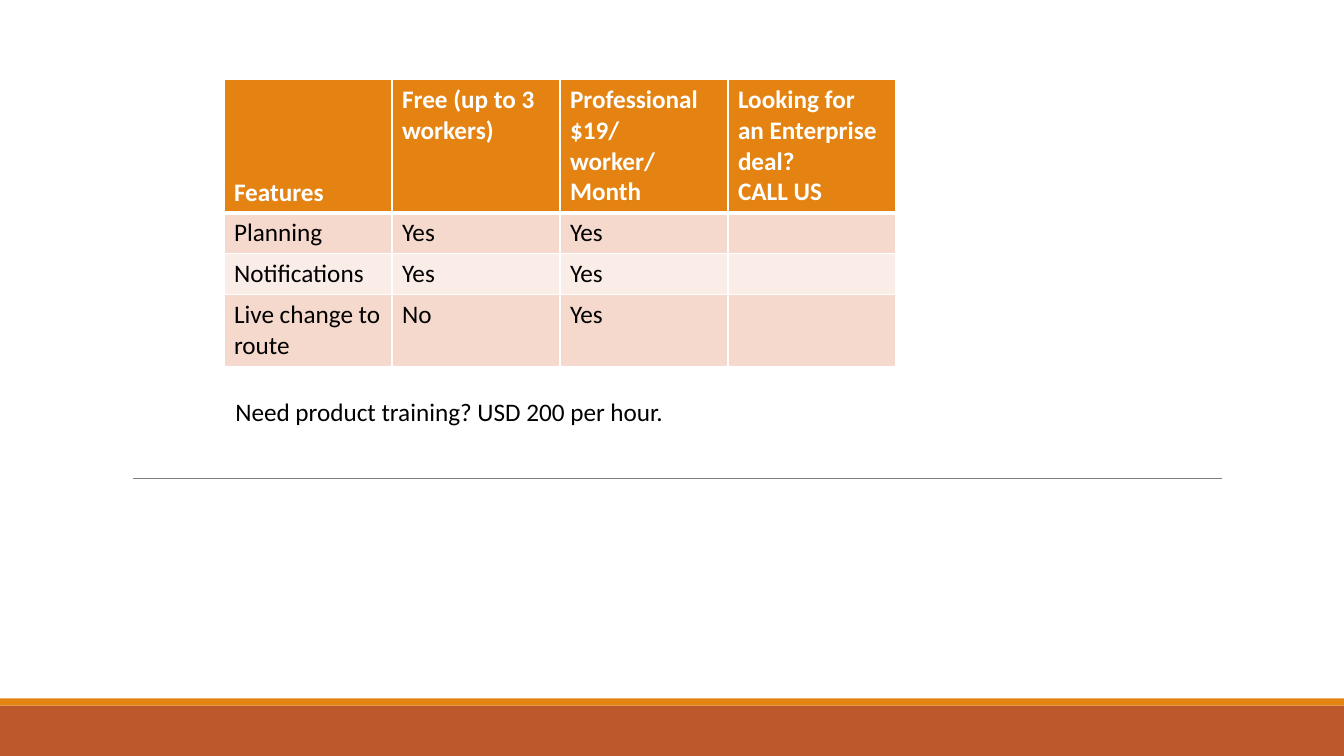
from lxml import etree
from pptx import Presentation
from pptx.dml.color import RGBColor
from pptx.enum.shapes import MSO_CONNECTOR, MSO_SHAPE
from pptx.enum.text import MSO_ANCHOR
from pptx.oxml.ns import qn
from pptx.util import Pt

RECT = MSO_SHAPE.RECTANGLE
LINE = MSO_CONNECTOR.STRAIGHT
TOP, BOTTOM = MSO_ANCHOR.TOP, MSO_ANCHOR.BOTTOM

WHITE = RGBColor(0xFF, 0xFF, 0xFF)
BLACK = RGBColor(0, 0, 0)
GRAY = RGBColor(0x80, 0x80, 0x80)
ORANGE = RGBColor(0xE4, 0x83, 0x12)
RUST = RGBColor(0xBD, 0x58, 0x2C)
PEACH = RGBColor(0xF5, 0xD9, 0xCC)
CREAM = RGBColor(0xFA, 0xED, 0xE7)

WIDE, HIGH = 960, 540
PLANS = [
    ["Features", "Free (up to 3 workers)", "Professional\n$19/worker/Month",
     "Looking for an Enterprise deal?\nCALL US"],
    ["Planning", "Yes", "Yes", ""],
    ["Notifications", "Yes", "Yes", ""],
    ["Live change to route", "No", "Yes", ""],
]
HEIGHTS = [94.6, 29.2, 29.2, 50.4]


class Deck:
    """Slide in hand, with its font and text size."""
    font, size = "Calibri", 18

    def __init__(self, slide):
        self.slide = slide
        self.shapes = slide.shapes

    def bar(self, top, height, color):
        bar = self.shapes.add_shape(RECT, 0, Pt(top), Pt(WIDE), Pt(height))
        bar.shadow.inherit = False
        bar.fill.solid()
        bar.fill.fore_color.rgb = color
        bar.line.fill.background()

    def rule(self, left, right, top):
        rule = self.shapes.add_connector(LINE, Pt(left), Pt(top), Pt(right), Pt(top))
        rule.line.color.rgb = GRAY
        rule.line.width = Pt(0.5)
        etree.SubElement(rule._element.spPr, qn("a:effectLst"))

    def label(self, frame, text, color=BLACK, bold=False):
        frame.text = text
        for para in frame.paragraphs:
            para.font.size = Pt(self.size)
            for run in para.runs:
                font = run.font
                font.name, font.size = self.font, Pt(self.size)
                font.bold, font.color.rgb = bold, color

    def note(self, left, top, width, height, text):
        box = self.shapes.add_textbox(Pt(left), Pt(top), Pt(width), Pt(height))
        box.text_frame.word_wrap = True
        self.label(box.text_frame, text)

    def edge(self, cell, side, width):
        """Draw one white border; side is L, R, T or B."""
        props = cell._tc.get_or_add_tcPr()
        line = etree.SubElement(props, qn("a:ln" + side), w=str(Pt(width)))
        fill = etree.SubElement(line, qn("a:solidFill"))
        etree.SubElement(fill, qn("a:srgbClr"), val=str(WHITE))

    def grid(self, left, top, width, rows, heights):
        count = len(rows[0])
        table = self.shapes.add_table(len(rows), count, Pt(left), Pt(top),
                                      Pt(width * count), Pt(sum(heights))).table
        for col in table.columns:
            col.width = Pt(width)
        for r, (texts, height) in enumerate(zip(rows, heights)):
            table.rows[r].height = Pt(height)
            head = r == 0
            fill = ORANGE if head else PEACH if r % 2 else CREAM
            for c, text in enumerate(texts):
                cell = table.cell(r, c)
                self.label(cell.text_frame, text, WHITE if head else BLACK, head)
                cell.vertical_anchor = BOTTOM if head and c == 0 else TOP
                for side in "LRTB":
                    thick = (r, side) in [(0, "B"), (1, "T")]
                    self.edge(cell, side, 3 if thick else 1)
                cell.fill.solid()
                cell.fill.fore_color.rgb = fill


def main():
    show = Presentation()
    show.slide_width, show.slide_height = Pt(WIDE), Pt(HIGH)
    deck = Deck(show.slides.add_slide(show.slide_layouts[6]))
    deck.bar(504, 36, RUST)
    deck.bar(498.8, 5.2, ORANGE)
    deck.rule(95, 873, 342)
    deck.grid(160, 56.9, 120, PLANS, HEIGHTS)
    deck.note(161, 279.5, 467.5, 29, "Need product training? USD 200 per hour.")
    show.save("out.pptx")


if __name__ == "__main__":
    main()
